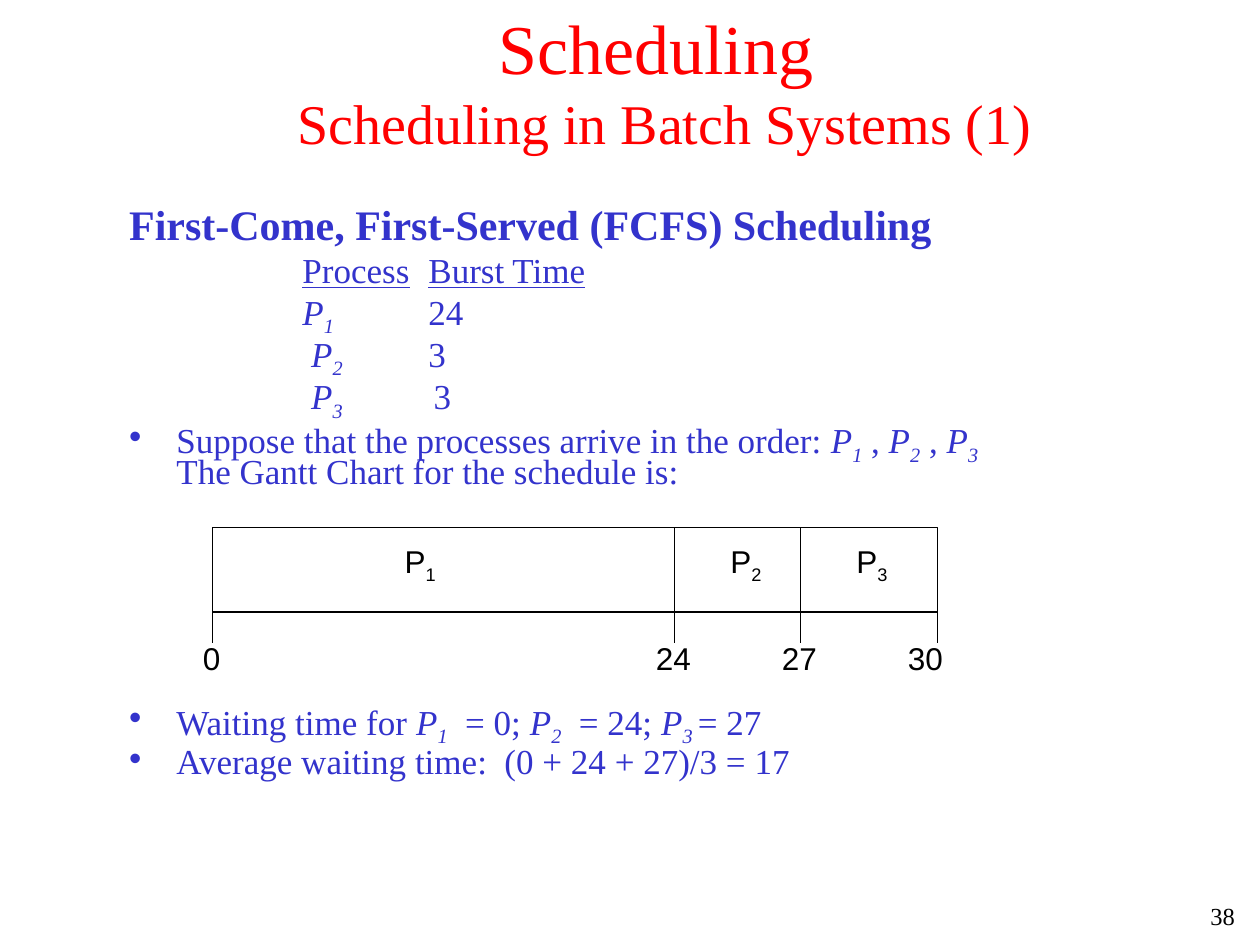
from lxml.etree import SubElement
from pptx import Presentation
from pptx.dml.color import RGBColor
from pptx.enum.shapes import MSO_CONNECTOR, MSO_SHAPE
from pptx.enum.text import MSO_ANCHOR, MSO_AUTO_SIZE, PP_ALIGN
from pptx.oxml.ns import qn
from pptx.util import Pt

SERIF, SANS = "Times New Roman", "Arial"
RED, BLUE, BLACK, WHITE = "FF0000", "3333CC", "000000", "FFFFFF"
HANGING = 27
COLUMN_LEFT = 99

# Gantt chart geometry
BAR_TOP, BAR_BOTTOM, TICK_BOTTOM = 301.6, 349.7, 367.6
TIMES = [("0", 121.5, 121), ("24", 385.5, 384.8),
         ("27", 457.5, 456.8), ("30", 535.6, 528.8)]
PROCESSES = [("1", 240.1), ("2", 426.2), ("3", 498.2)]

# Text split at "|" cycles through plain, italic and italic subscript
PROCESS_ROWS = ["Process\tBurst Time", "|P|1\t|24", " |P|2 \t|3", " |P|3\t |3"]
ORDER = "Suppose that the processes arrive in the order: |P|1| , |P|2| , |P|3"
WAITING = "Waiting time for |P|1|  = 0; |P|2|  = 24; |P|3 |= 27"
AVERAGE = "Average waiting time:  (0 + 24 + 27)/3 = 17"


def color(value):
    return RGBColor.from_string(value)


def style(span, size, name, value):
    span.font.size = Pt(size)
    span.font.name = name
    span.font.color.rgb = color(value)


def place(box, left, top, width, height):
    box.left, box.top, box.width, box.height = (
        Pt(left), Pt(top), Pt(width), Pt(height))


def add_spans(para, text, size, name, value):
    for index, part in enumerate(text.split("|")):
        if not part:
            continue
        span = para.add_run()
        span.text = part
        style(span, size, name, value)
        if index % 3:
            span.font.italic = name == SERIF
        if index % 3 == 2:
            span.font._element.set("baseline", "-25000")


def add_body_line(frame, text, before, left=HANGING, indent=0, bullet=False, size=20):
    first = not frame.paragraphs[0].runs
    para = frame.paragraphs[0] if first else frame.add_paragraph()
    para.line_spacing = 0.7
    para.space_before = Pt(before)
    para.space_after = Pt(0)
    properties = para._p.get_or_add_pPr()
    properties.set("marL", str(Pt(left)))
    properties.set("indent", str(Pt(indent)))
    properties.set("defTabSz", str(Pt(72)))
    if bullet:
        bullet_color = SubElement(properties, qn("a:buClr"))
        SubElement(bullet_color, qn("a:srgbClr")).set("val", BLUE)
        SubElement(properties, qn("a:buChar")).set("char", "•")
    else:
        SubElement(properties, qn("a:buNone"))
    add_spans(para, text, size, SERIF, BLUE)
    return para


def add_label(page, text, center, top, width, height, size=18, name=SANS,
              align=PP_ALIGN.CENTER):
    box = page.shapes.add_textbox(Pt(center - width / 2), Pt(top), Pt(width), Pt(height))
    frame = box.text_frame
    frame.word_wrap = False
    frame.vertical_anchor = MSO_ANCHOR.MIDDLE
    para = frame.paragraphs[0]
    para.alignment = align
    add_spans(para, text, size, name, BLACK)


def add_vertical(page, x, top, bottom):
    line = page.shapes.add_connector(
        MSO_CONNECTOR.STRAIGHT, Pt(x), Pt(top), Pt(x), Pt(bottom))
    line.line.color.rgb = color(BLACK)
    line.line.width = Pt(0.75)
    SubElement(line._element.spPr, qn("a:effectLst"))


def add_title(page):
    title = page.shapes.title
    place(title, 51.6, 27.5, 656.6, 36)
    frame = title.text_frame
    frame.text = "Scheduling \nScheduling in Batch Systems (1)"
    frame.auto_size = MSO_AUTO_SIZE.NONE
    frame.vertical_anchor = MSO_ANCHOR.MIDDLE
    for para, size in zip(frame.paragraphs, (40, 32)):
        para.alignment = PP_ALIGN.CENTER
        para.space_before = Pt(0)
        style(para.runs[0], size, SERIF, RED)


def add_body(page):
    body = page.placeholders[1]
    place(body, 66.6, 117.9, 595.4, 369)
    frame = body.text_frame
    frame.auto_size = MSO_AUTO_SIZE.NONE
    heading = add_body_line(frame, "First-Come, First-Served (FCFS) Scheduling",
                            0, indent=-HANGING, size=24)
    heading.runs[0].font.bold = True

    # Process table, aligned with tabs
    for index, row in enumerate(PROCESS_ROWS):
        para = add_body_line(frame, row, 5 if index else 7, left=COLUMN_LEFT)
        if index == 0:
            heads = row.split("\t")
            para.runs[0].text = heads[0]
            para.runs[0].font.underline = True
            add_spans(para, "\t", 20, SERIF, BLUE)
            add_spans(para, heads[1], 20, SERIF, BLUE)
            para.runs[2].font.underline = True

    # Bullets, with room for the chart before the waiting times
    add_body_line(frame, ORDER, 6, indent=-HANGING, bullet=True)
    add_body_line(frame, "The Gantt Chart for the schedule is:", 0.5)
    add_body_line(frame, WAITING, 124.6, indent=-HANGING, bullet=True)
    add_body_line(frame, AVERAGE, 5, indent=-HANGING, bullet=True)


def add_gantt(page):
    left, right = TIMES[0][1], TIMES[-1][1]
    bar = page.shapes.add_shape(MSO_SHAPE.RECTANGLE, Pt(left), Pt(BAR_TOP),
                                Pt(right - left), Pt(BAR_BOTTOM - BAR_TOP))
    bar.shadow.inherit = False
    bar.fill.solid()
    bar.fill.fore_color.rgb = color(WHITE)
    bar.line.color.rgb = color(BLACK)
    bar.line.width = Pt(0.75)
    for number, center in PROCESSES:
        add_label(page, f"P||{number}", center, 306.3, 32.4, 31.7)
    for time, x, center in TIMES:
        add_vertical(page, x, BAR_BOTTOM, TICK_BOTTOM)
        add_label(page, time, center, 361.3, 34.6, 28.8)
    for _, x, _ in TIMES[1:-1]:
        add_vertical(page, x, BAR_TOP, BAR_BOTTOM)


def main():
    deck = Presentation()
    deck.slide_width, deck.slide_height = Pt(720), Pt(540)
    page = deck.slides.add_slide(deck.slide_layouts[1])
    add_title(page)
    add_body(page)
    add_gantt(page)
    # Page number
    add_label(page, "38", 693.4, 508.9, 38.9, 28.8, 14, SERIF, PP_ALIGN.RIGHT)
    deck.save("out.pptx")


if __name__ == "__main__":
    main()
